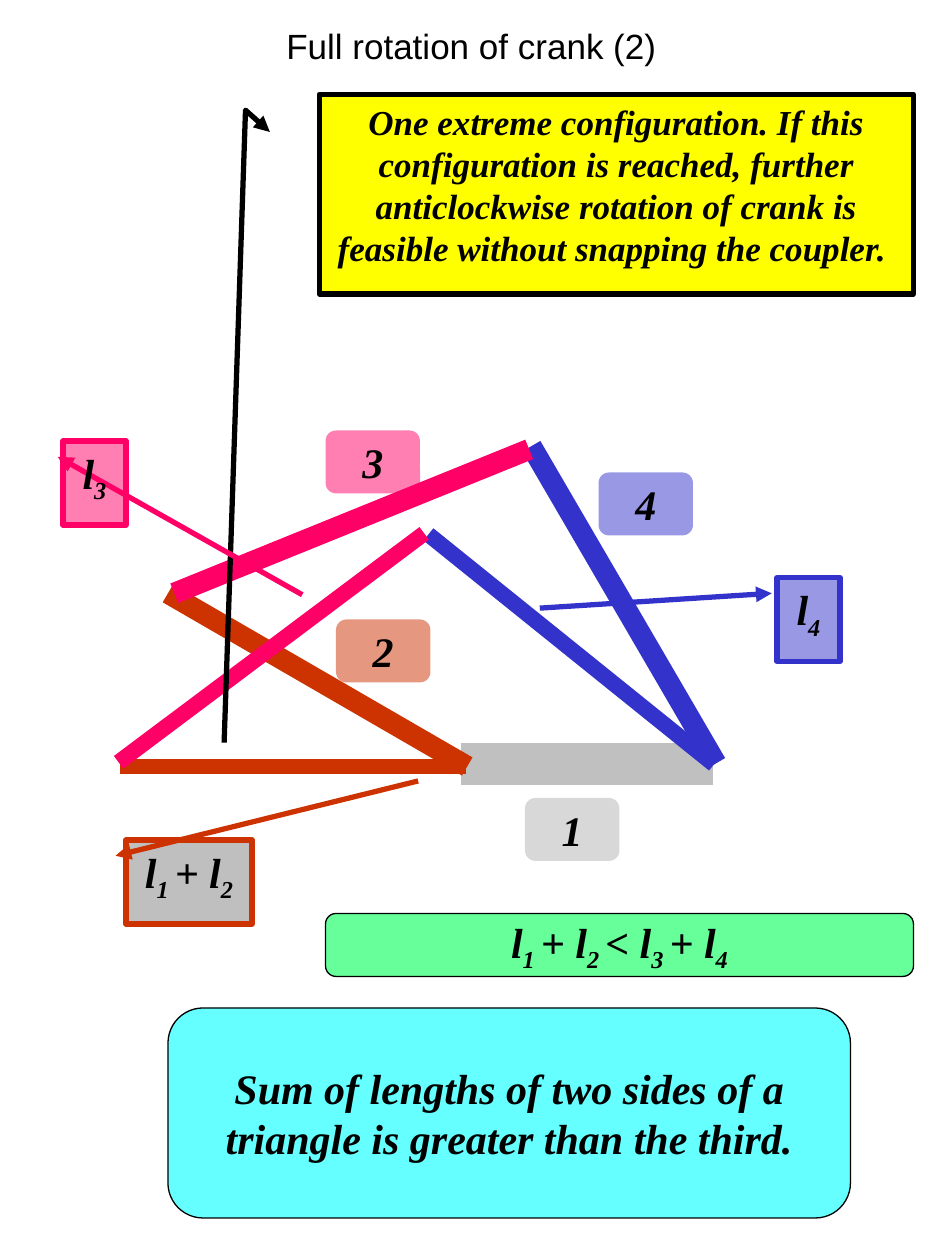
import dataclasses
import typing

import pptx
import pptx.dml.color
import pptx.enum.shapes
import pptx.enum.text
import pptx.oxml.ns
import pptx.util
from lxml import etree

RGBColor = pptx.dml.color.RGBColor
Shape = pptx.enum.shapes.MSO_SHAPE
Anchor = pptx.enum.text.MSO_ANCHOR

EMU_PER_PX = 7620  # 120 px to the inch
BLACK = RGBColor(0x00, 0x00, 0x00)
SILVER = RGBColor(0xC0, 0xC0, 0xC0)
GRAY = RGBColor(0xB2, 0xB2, 0xB2)
DARK_GRAY = RGBColor(0x80, 0x80, 0x80)
RUST = RGBColor(0xCC, 0x33, 0x00)
BLUE = RGBColor(0x33, 0x33, 0xCC)
PINK = RGBColor(0xFF, 0x00, 0x66)
YELLOW = RGBColor(0xFF, 0xFF, 0x00)
GREEN = RGBColor(0x66, 0xFF, 0x99)
CYAN = RGBColor(0x66, 0xFF, 0xFF)


@dataclasses.dataclass(frozen=True)
class Link:
    start: tuple[int, int]
    end: tuple[int, int]
    color: RGBColor
    width: int


@dataclasses.dataclass(frozen=True)
class Box:
    """A filled shape; its text parts alternate between baseline and subscript."""
    bounds: tuple[int, int, int, int]
    fill: RGBColor
    text: tuple[str, ...]
    kind: Shape = Shape.ROUNDED_RECTANGLE
    adjustments: tuple[float, ...] = (0.167,)
    line: typing.Optional[RGBColor] = None
    line_width: float = 0.75
    size: int = 24
    opacity: int = 100
    anchor: Anchor = Anchor.MIDDLE
    wrap: bool = True


def link_label(left: int, top: int, color: RGBColor, number: str) -> Box:
    return Box((left, top, 90, 60), color, (number,), opacity=50, wrap=False)


def length_callout(left: int, top: int, width: int, fill: RGBColor, line: RGBColor,
                   text: tuple[str, ...], target: tuple[float, float]) -> Box:
    """Make a callout; target is the far end of its leader as (y, x) shares of the box."""
    return Box((left, top, width, 80), fill, text, Shape.LINE_CALLOUT_1,
               (0.188, -0.083, *target), line, 3, opacity=50, anchor=Anchor.TOP)


LINKS = (
    Link((439, 728), (679, 728), SILVER, 24),
    Link((445, 730), (160, 565), RUST, 12),
    Link((682, 727), (506, 425), BLUE, 12),
    Link((166, 565), (504, 428), PINK, 12),
    Link((444, 730), (114, 730), RUST, 9),
    Link((680, 728), (408, 509), BLUE, 9),
    Link((113, 726), (404, 508), PINK, 9),
)

BOXES = (
    Box((304, 90, 566, 190), YELLOW,
        ("One extreme configuration. If this configuration is reached, further "
         "anticlockwise rotation of crank is feasible without snapping the coupler. ",),
        Shape.LINE_CALLOUT_2, (0.188, -0.083, 0.079, -0.124, 3.249, -0.16),
        BLACK, 3, size=20, anchor=Anchor.TOP),
    link_label(500, 760, GRAY, "1"),
    link_label(320, 590, RUST, "2"),
    link_label(310, 410, PINK, "3"),
    link_label(570, 450, BLUE, "4"),
    Box((310, 870, 560, 60), GREEN, ("l", "1 ", "+ l", "2 ", "< l", "3 ", "+ l", "4"),
        line=BLACK, wrap=False),
    Box((160, 960, 650, 200), CYAN,
        ("Sum of lengths of two sides of a triangle is greater than the third.",),
        line=BLACK),
    length_callout(120, 800, 120, DARK_GRAY, RUST, ("l", "1 ", "+ l", "2"), (-0.703, 2.319)),
    length_callout(740, 550, 60, BLUE, BLUE, ("l", "4"), (0.365, -3.764)),
    length_callout(60, 420, 60, PINK, PINK, ("l", "3"), (1.831, 3.799)),
)


def px(value: int) -> int:
    return pptx.util.Emu(value * EMU_PER_PX)


def set_values(target: typing.Any, values: dict[str, typing.Any]) -> None:
    for name, value in values.items():
        setattr(target, name, value)


def add_child(parent: typing.Any, tag: str, **attributes: str) -> None:
    etree.SubElement(parent, pptx.oxml.ns.qn(tag), attributes)


def add_title(slide: typing.Any, text: str) -> None:
    title = slide.shapes.title
    set_values(title, dict(left=px(67), top=px(10), width=px(764), height=px(67)))
    title.text_frame.text = text
    title.text_frame.vertical_anchor = Anchor.MIDDLE
    paragraph = title.text_frame.paragraphs[0]
    paragraph.alignment = pptx.enum.text.PP_ALIGN.CENTER
    set_values(paragraph.runs[0].font, dict(name="Arial", size=pptx.util.Pt(20)))
    paragraph.runs[0].font.color.rgb = BLACK


def add_link(slide: typing.Any, link: Link) -> None:
    connector = slide.shapes.add_connector(
        pptx.enum.shapes.MSO_CONNECTOR.STRAIGHT, *map(px, link.start + link.end))
    connector.line.color.rgb = link.color
    connector.line.width = pptx.util.Pt(link.width)
    add_child(connector._element.spPr, "a:effectLst")


def write_text(frame: typing.Any, box: Box) -> None:
    inset_x, inset_y = px(12), px(6)
    set_values(frame, dict(word_wrap=box.wrap, vertical_anchor=box.anchor,
                           margin_left=inset_x, margin_right=inset_x,
                           margin_top=inset_y, margin_bottom=inset_y))
    paragraph = frame.paragraphs[0]
    paragraph.alignment = pptx.enum.text.PP_ALIGN.CENTER
    for index, part in enumerate(box.text):
        run = paragraph.add_run()
        run.text = part
        set_values(run.font, dict(name="Times New Roman", bold=True, italic=True,
                                  size=pptx.util.Pt(box.size)))
        run.font.color.rgb = BLACK
        if index % 2:
            run._r.get_or_add_rPr().set("baseline", "-25000")


def add_box(slide: typing.Any, box: Box) -> None:
    shape = slide.shapes.add_shape(box.kind, *map(px, box.bounds))
    shape.shadow.inherit = False
    for index, value in enumerate(box.adjustments):
        shape.adjustments[index] = value
    shape.fill.solid()
    shape.fill.fore_color.rgb = box.fill
    if box.opacity < 100:
        color = shape._element.spPr.find(".//" + pptx.oxml.ns.qn("a:srgbClr"))
        add_child(color, "a:alpha", val=str(box.opacity * 1000))
    if box.line is None:
        shape.line.fill.background()
    else:
        shape.line.color.rgb = box.line
        shape.line.width = pptx.util.Pt(box.line_width)
    if box.kind != Shape.ROUNDED_RECTANGLE:
        add_child(shape.line._get_or_add_ln(), "a:headEnd", type="triangle")
    write_text(shape.text_frame, box)


def main() -> None:
    presentation = pptx.Presentation()
    set_values(presentation, dict(slide_width=px(900), slide_height=px(1200)))
    slide = presentation.slides.add_slide(presentation.slide_layouts[5])
    add_title(slide, "Full rotation of crank (2)")
    for link in LINKS:
        add_link(slide, link)
    for box in BOXES:
        add_box(slide, box)
    presentation.save("out.pptx")


if __name__ == "__main__":
    main()
